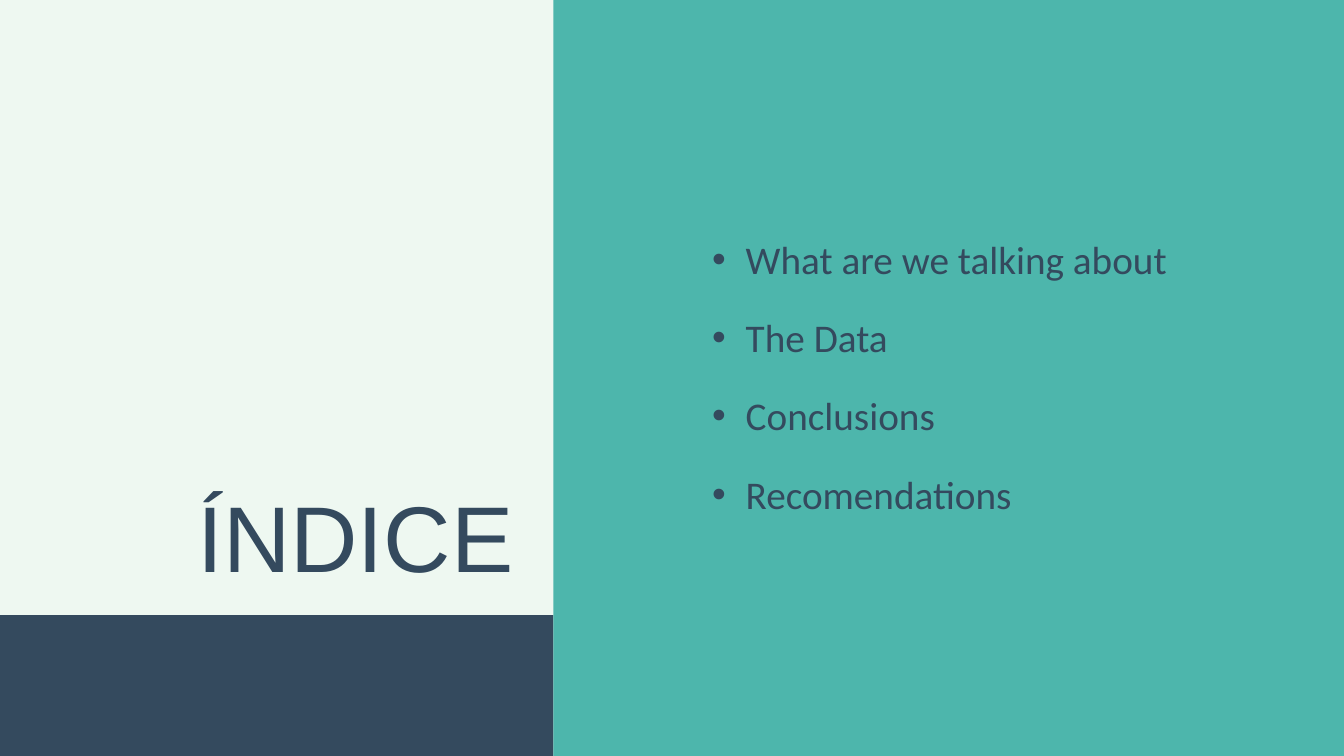
import pptx
import pptx.dml.color
import pptx.enum.shapes
import pptx.enum.text
import pptx.util
from lxml import etree

Pt = pptx.util.Pt
ALIGN = pptx.enum.text.PP_ALIGN

WIDTH, HEIGHT = 1440, 810
MINT, NAVY, TEAL = "EEF8F1", "344A5E", "4DB6AC"

TITLE = "ÍNDICE"
TOPICS = ["What are we talking about", "The Data", "Conclusions", "Recomendations"]

SPLIT = 593  # boundary between the title side and the list side
BLEED = 55
BAND_TOP, BAND_HEIGHT = 659, 243
LIST_LEFT, LIST_TOP, LIST_WIDTH, LIST_PITCH = 728, 261.4, 608, 84
ROW_HEIGHT = 42.5


def rgb(color):
    return pptx.dml.color.RGBColor.from_string(color)


def add_panel(slide, left, top, width, height, color):
    sp = slide.shapes.add_shape(pptx.enum.shapes.MSO_SHAPE.RECTANGLE,
                                Pt(left), Pt(top), Pt(width), Pt(height))
    sp.shadow.inherit = False
    sp.fill.solid()
    sp.fill.fore_color.rgb = rgb(color)
    sp.line.fill.background()


def add_bullet(p, indent, hanging, char="•"):
    pPr = p._p.get_or_add_pPr()
    pPr.set("marL", str(Pt(indent)))
    pPr.set("indent", str(-Pt(hanging)))
    ns = pptx.oxml.ns.qn
    etree.SubElement(pPr, ns("a:buFont")).set("typeface", "Arial")
    etree.SubElement(pPr, ns("a:buChar")).set("char", char)


def add_text(slide, text, left, top, width, height, size, font, spacing,
             align=ALIGN.LEFT, level=0, color=NAVY):
    tf = slide.shapes.add_textbox(Pt(left), Pt(top), Pt(width), Pt(height)).text_frame
    tf.word_wrap = True
    tf.margin_left = tf.margin_top = tf.margin_right = tf.margin_bottom = 0
    p = tf.paragraphs[0]
    p.alignment = align
    p.level = level
    p.line_spacing = Pt(spacing)
    r = p.add_run()
    r.text = text
    r.font.size = Pt(size)
    r.font.name = font
    r.font.color.rgb = rgb(color)
    return p


def main():
    prs = pptx.Presentation()
    prs.slide_width, prs.slide_height = Pt(WIDTH), Pt(HEIGHT)
    s = prs.slides.add_slide(prs.slide_layouts[6])
    s.background.fill.solid()
    s.background.fill.fore_color.rgb = rgb(MINT)

    add_panel(s, -BLEED, BAND_TOP, SPLIT + BLEED, BAND_HEIGHT, NAVY)
    add_panel(s, SPLIT, 0, WIDTH - SPLIT, HEIGHT, TEAL)

    for i, topic in enumerate(TOPICS):
        p = add_text(s, topic, LIST_LEFT, LIST_TOP + i * LIST_PITCH, LIST_WIDTH,
                     ROW_HEIGHT, size=42, font="Calibri", spacing=40.7, level=1)
        add_bullet(p, indent=71, hanging=36)

    add_text(s, TITLE, 125, 513.4, 425, 120, size=100, font="Arial",
             spacing=120, align=ALIGN.RIGHT)
    prs.save("out.pptx")


if __name__ == "__main__":
    main()
